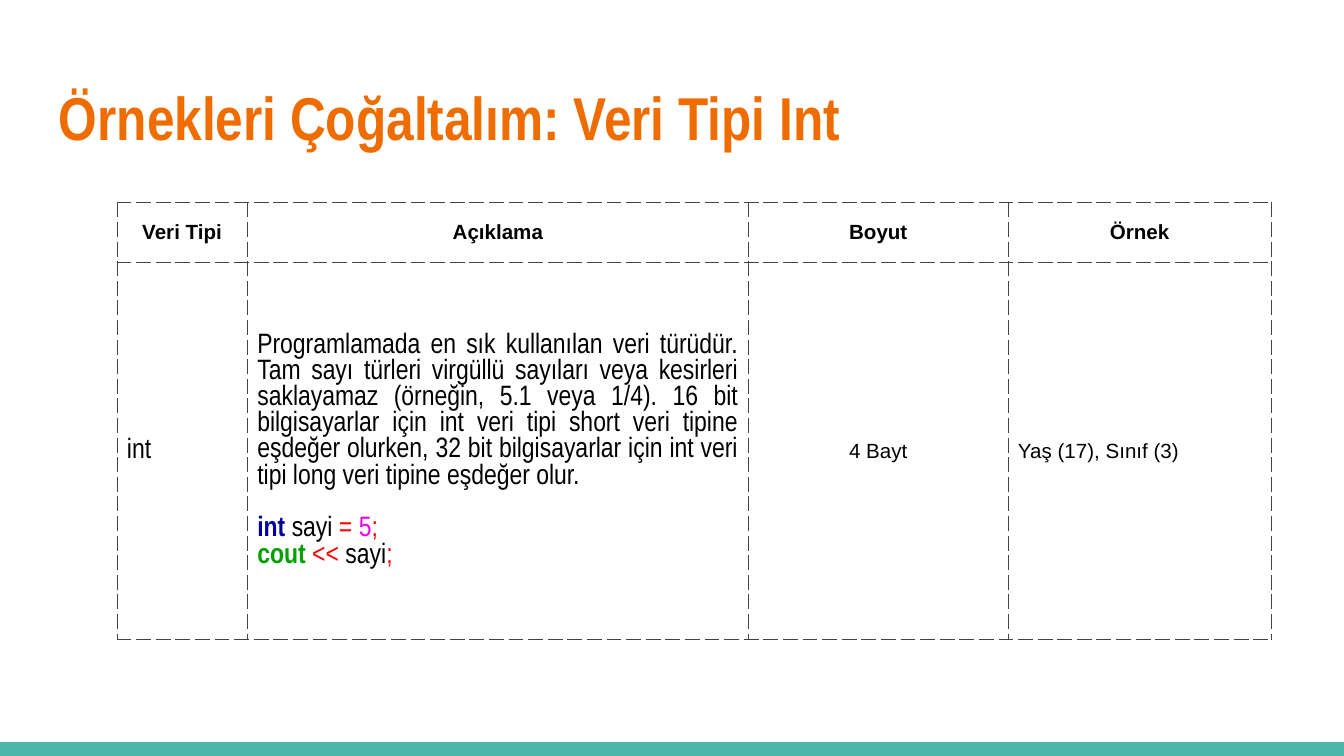
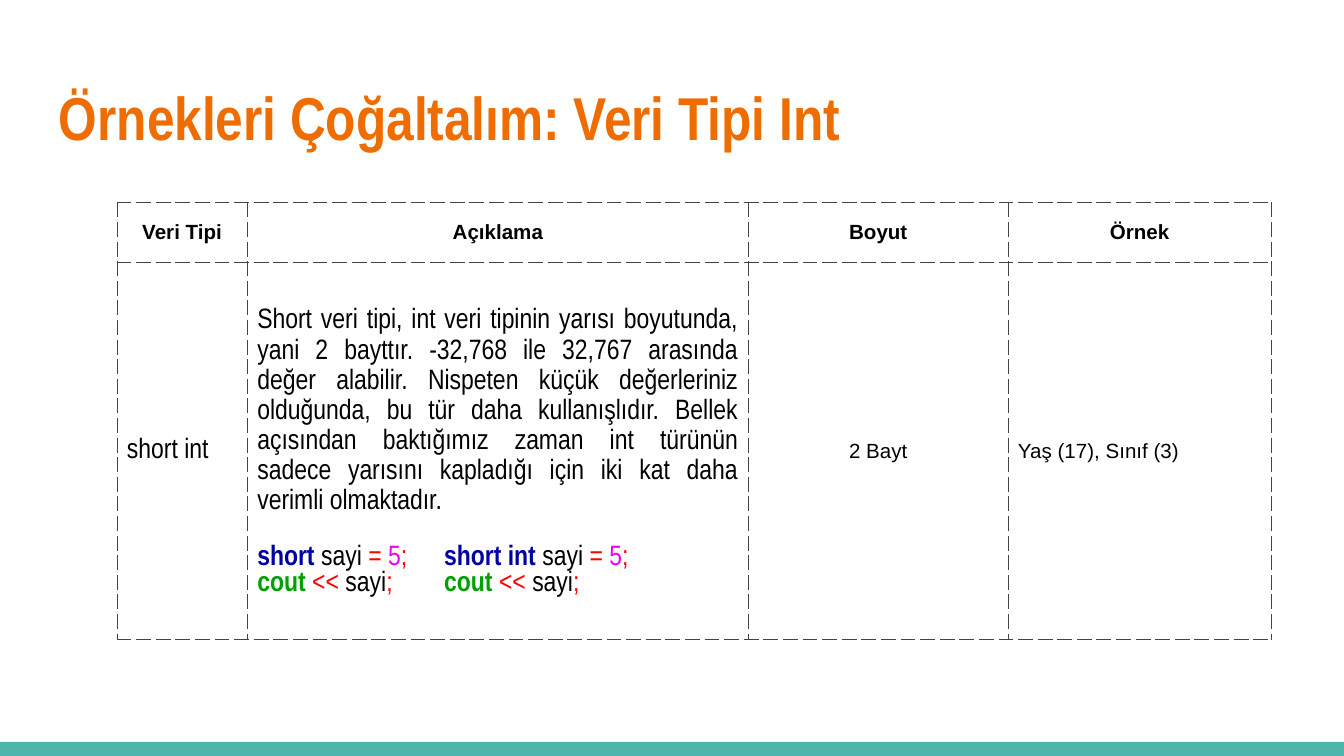
from lxml.etree import SubElement
from pptx import Presentation
from pptx.dml.color import RGBColor as Rgb
from pptx.enum.shapes import MSO_SHAPE as Shape
from pptx.enum.text import MSO_ANCHOR as Anchor, PP_ALIGN as Align
from pptx.oxml import parse_xml
from pptx.oxml.ns import nsdecls, qn
from pptx.util import Inches, Pt

TEAL, ORANGE, BLACK, BORDER = "4DB6AC", "EF6C00", "000000", "434343"
KEYWORD, STREAM, SYMBOL, NUMBER = "0000A0", "00A000", "FF0000", "F000F0"
TITLE = "Örnekleri Çoğaltalım: Veri Tipi Int"
HEADERS = ["Veri Tipi", "Açıklama", "Boyut", "Örnek"]
COLUMNS = [0.97, 3.73, 1.93, 1.96]
ROWS = [0.44, 2.81]
SECOND_CODE_TAB = 1.39

PAGES = [
    {
        "type": "int",
        "about": "Programlamada en sık kullanılan veri türüdür. Tam sayı türleri "
                 "virgüllü sayıları veya kesirleri saklayamaz (örneğin, 5.1 veya 1/4). "
                 "16 bit bilgisayarlar için int veri tipi short veri tipine eşdeğer "
                 "olurken, 32 bit bilgisayarlar için int veri tipi long veri tipine "
                 "eşdeğer olur.",
        "spacing": 1.0, "gap": 14.3, "declared": ["int"], "size": "4 Bayt",
    },
    {
        "type": "short int",
        "about": "Short veri tipi, int veri tipinin yarısı boyutunda, yani 2 bayttır. "
                 "-32,768 ile 32,767 arasında değer alabilir. Nispeten küçük "
                 "değerleriniz olduğunda, bu tür daha kullanışlıdır. Bellek açısından "
                 "baktığımız zaman int türünün sadece yarısını kapladığı için iki kat "
                 "daha verimli olmaktadır.",
        "spacing": 1.15, "gap": 15.7, "declared": ["short", "short int"], "size": "2 Bayt",
    },
]


def color(value):
    return Rgb.from_string(value)


def add_span(para, text, size=11, font="Arial", ink=BLACK, bold=False):
    span = para.add_run()
    span.text = text
    span.font.size = Pt(size)
    span.font.name = font
    span.font.bold = bold
    span.font.color.rgb = color(ink)


deck = Presentation()
deck.slide_width = Inches(10)
deck.slide_height = Inches(10) * 9 // 16

for content in PAGES:
    page = deck.slides.add_slide(deck.slide_layouts[6])

    band = page.shapes.add_shape(Shape.RECTANGLE, 0, Inches(5.52), Inches(10), Inches(0.11))
    band.shadow.inherit = False
    band.fill.solid()
    band.fill.fore_color.rgb = color(TEAL)
    band.line.fill.background()

    title = page.shapes.add_textbox(Inches(0.34), Inches(0.48), Inches(9.32), Inches(0.77))
    frame = title.text_frame
    frame.word_wrap = True
    frame.vertical_anchor = Anchor.MIDDLE
    frame.margin_left = frame.margin_right = Inches(0.1)
    frame.margin_top = frame.margin_bottom = Inches(0.1)
    add_span(frame.paragraphs[0], TITLE, 32.4, "Arial Narrow", ORANGE, True)

    table = page.shapes.add_table(2, 4, Inches(0.87), Inches(1.51),
                                  Inches(sum(COLUMNS)), Inches(sum(ROWS))).table
    table.first_row = False
    table.horz_banding = False
    for column, width in zip(table.columns, COLUMNS):
        column.width = Inches(width)
    for row, height in zip(table.rows, ROWS):
        row.height = Inches(height)

    for cell in table.iter_cells():
        cell.vertical_anchor = Anchor.MIDDLE
        cell.margin_left = cell.margin_right = Pt(5.4)
        cell.margin_top = cell.margin_bottom = 0
        cell.fill.background()
        properties = cell._tc.get_or_add_tcPr()
        for place, side in enumerate(["lnL", "lnR", "lnT", "lnB"]):
            properties.insert(place, parse_xml(
                f'<a:{side} {nsdecls("a")} w="{Pt(0.5)}"><a:solidFill>'
                f'<a:srgbClr val="{BORDER}"/></a:solidFill>'
                f'<a:prstDash val="dash"/></a:{side}>'))

    for index, header in enumerate(HEADERS):
        para = table.cell(0, index).text_frame.paragraphs[0]
        para.alignment = Align.CENTER
        add_span(para, header, bold=True)

    type_para, about_para, size_para, example_para = [
        table.cell(1, index).text_frame.paragraphs[0] for index in range(4)]
    type_para.alignment = about_para.alignment = Align.JUSTIFY
    size_para.alignment = Align.CENTER
    about_para.line_spacing = content["spacing"]
    add_span(type_para, content["type"], 15, "Arial Narrow")
    add_span(about_para, content["about"], 15, "Arial Narrow")
    add_span(size_para, content["size"])
    add_span(example_para, "Yaş (17), Sınıf (3)")

    declaration, output = [], []
    for index, keyword in enumerate(content["declared"]):
        if index:
            declaration.append(("\t", SYMBOL))
            output.append(("\t", SYMBOL))
        declaration += [(keyword + " ", KEYWORD), ("sayi ", BLACK), ("= ", SYMBOL),
                        ("5", NUMBER), (";", SYMBOL)]
        output += [("cout ", STREAM), ("<< ", SYMBOL), ("sayi", BLACK), (";", SYMBOL)]

    for code, gap in [(declaration, content["gap"]), (output, 0)]:
        para = table.cell(1, 1).text_frame.add_paragraph()
        para.alignment = Align.LEFT
        para.space_before = Pt(gap)
        if len(content["declared"]) > 1:
            tabs = SubElement(para._p.get_or_add_pPr(), qn("a:tabLst"))
            SubElement(tabs, qn("a:tab"), pos=str(Inches(SECOND_CODE_TAB)), algn="l")
        for text, ink in code:
            add_span(para, text, 15, "Arial Narrow", ink, ink in (KEYWORD, STREAM))

deck.save("out.pptx")
